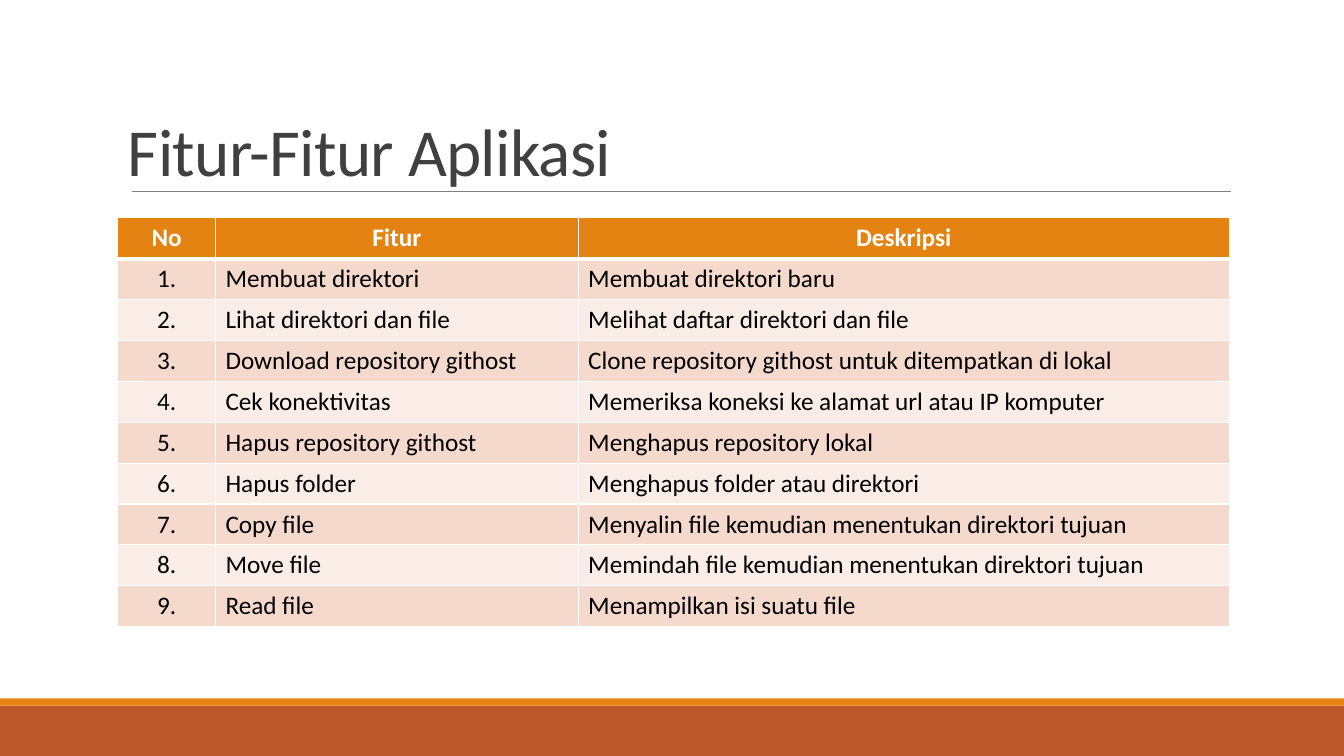
from dataclasses import dataclass

from lxml.etree import SubElement as Sub
from pptx import Presentation
from pptx.dml.color import RGBColor as Rgb
from pptx.enum.shapes import MSO_CONNECTOR as Link, MSO_SHAPE as Shape
from pptx.enum.text import MSO_ANCHOR as Anchor, PP_ALIGN as Align
from pptx.oxml.ns import qn
from pptx.util import Cm, Pt


@dataclass(frozen=True)
class Theme:
    face: str = "Calibri"
    title: str = "404040"
    rule: str = "808080"
    rust: str = "BD582C"
    amber: str = "E48312"
    bands: tuple = ("F5D9CC", "FAEDE7")
    ink: str = "000000"
    white: str = "FFFFFF"
    big: int = 48
    body: int = 18


WIDE, HIGH = 33.87, 19.05
COLS = (2.46, 9.14, 16.41)
ROW = 1.03
HEAD = ("No", "Fitur", "Deskripsi")
ITEMS = (
    ("Membuat direktori", "Membuat direktori baru"),
    ("Lihat direktori dan file", "Melihat daftar direktori dan file"),
    ("Download repository githost",
     "Clone repository githost untuk ditempatkan di lokal"),
    ("Cek konektivitas", "Memeriksa koneksi ke alamat url atau IP komputer"),
    ("Hapus repository githost", "Menghapus repository lokal"),
    ("Hapus folder", "Menghapus folder atau direktori"),
    ("Copy file", "Menyalin file kemudian menentukan direktori tujuan"),
    ("Move file", "Memindah file kemudian menentukan direktori tujuan"),
    ("Read file", "Menampilkan isi suatu file"),
)


def assign(item, values):
    for name, value in values.items():
        setattr(item, name, value)


class Page:
    def __init__(self, slide, theme):
        self.slide, self.theme = slide, theme

    def font(self, part, size, color, bold=False):
        assign(part.font, dict(name=self.theme.face, size=Pt(size), bold=bold))
        part.font.color.rgb = Rgb.from_string(color)

    def bar(self, top, high, color):
        bar = self.slide.shapes.add_shape(
            Shape.RECTANGLE, 0, Cm(top), Cm(WIDE), Cm(high))
        bar.shadow.inherit = False
        bar.fill.solid()
        bar.fill.fore_color.rgb = Rgb.from_string(color)
        bar.line.fill.background()

    def rule(self, left, right, top):
        rule = self.slide.shapes.add_connector(
            Link.STRAIGHT, Cm(left), Cm(top), Cm(right), Cm(top))
        rule.line.width = Pt(0.5)
        rule.line.color.rgb = Rgb.from_string(self.theme.rule)
        Sub(rule._element.spPr, qn("a:effectLst"))

    def title(self, text, left, top, wide, high):
        title = self.slide.shapes.title
        assign(title, dict(left=Cm(left), top=Cm(top),
                           width=Cm(wide), height=Cm(high)))
        assign(title.text_frame, dict(text=text, word_wrap=True,
                                      vertical_anchor=Anchor.BOTTOM))
        para = title.text_frame.paragraphs[0]
        assign(para, dict(alignment=Align.LEFT, line_spacing=0.85))
        run = para.runs[0]
        self.font(run, self.theme.big, self.theme.title)
        run.font._element.set("spc", "-50")

    def edges(self, cell, row):
        """Draw white cell borders, with a thick one under the header."""
        widths = dict(L=1, R=1, T=3 if row == 1 else 1, B=1 if row else 3)
        props = cell._tc.get_or_add_tcPr()
        for side, width in widths.items():
            line = Sub(props, qn(f"a:ln{side}"), w=str(Pt(width)))
            fill = Sub(line, qn("a:solidFill"))
            Sub(fill, qn("a:srgbClr"), val=self.theme.white)

    def cell(self, cell, text, row, col):
        theme, head = self.theme, row == 0
        self.edges(cell, row)
        cell.fill.solid()
        cell.fill.fore_color.rgb = Rgb.from_string(
            theme.amber if head else theme.bands[(row - 1) % 2])
        cell.text = text
        para = cell.text_frame.paragraphs[0]
        para.alignment = Align.CENTER if head or col == 0 else Align.LEFT
        self.font(para.runs[0], theme.body,
                  theme.white if head else theme.ink, head)

    def table(self, rows, left, top):
        table = self.slide.shapes.add_table(
            len(rows), len(COLS), Cm(left), Cm(top),
            Cm(sum(COLS)), Cm(ROW * len(rows))).table
        for col, wide in zip(table.columns, COLS):
            col.width = Cm(wide)
        for r, texts in enumerate(rows):
            table.rows[r].height = Cm(ROW)
            for c, text in enumerate(texts):
                self.cell(table.cell(r, c), text, r, c)


def main():
    deck = Presentation()
    assign(deck, dict(slide_width=Cm(WIDE), slide_height=Cm(HIGH)))
    theme = Theme()
    page = Page(deck.slides.add_slide(deck.slide_layouts[5]), theme)
    page.bar(17.78, 1.27, theme.rust)
    page.bar(17.6, 0.18, theme.amber)
    page.rule(3.33, 31.01, 4.83)
    page.title("Fitur-Fitur Aplikasi", 2.97, 0.79, 28.01, 4.14)
    rows = [(f"{n}.", *item) for n, item in enumerate(ITEMS, 1)]
    page.table([HEAD, *rows], 2.97, 5.49)
    deck.save("out.pptx")


if __name__ == "__main__":
    main()
